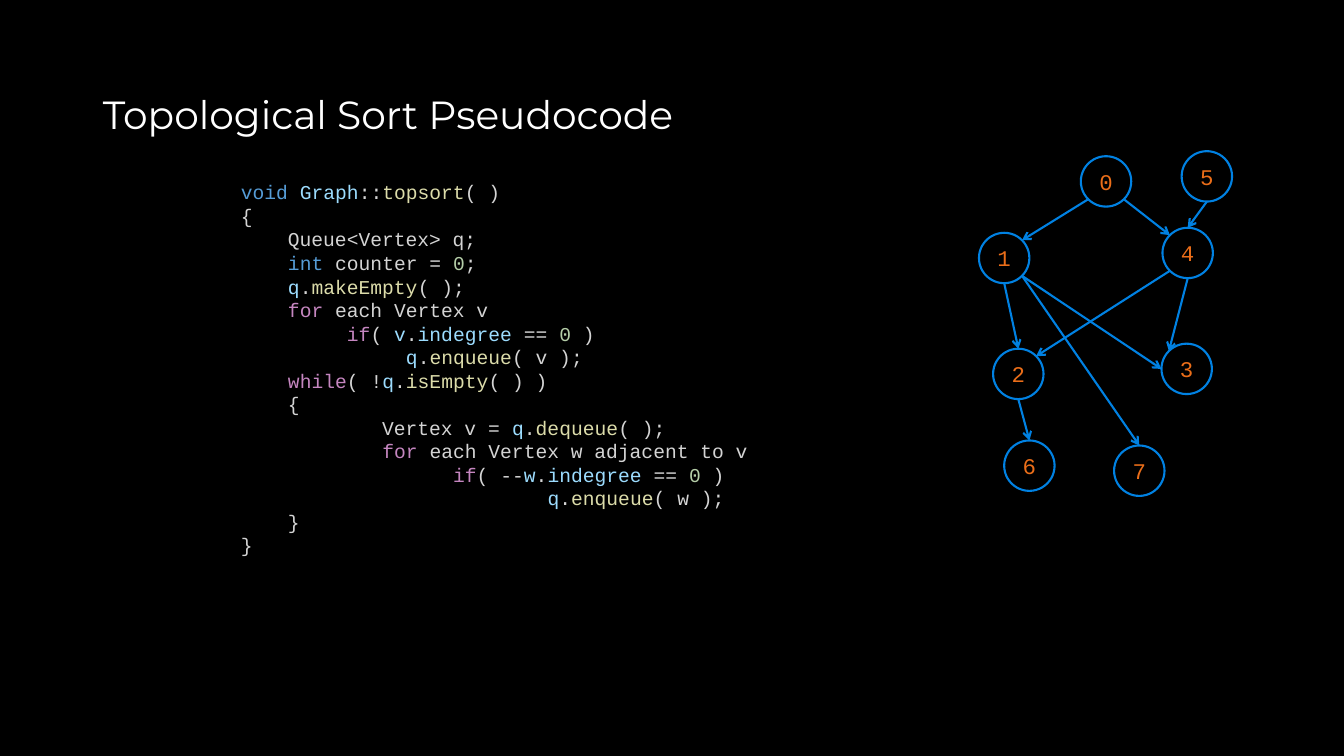
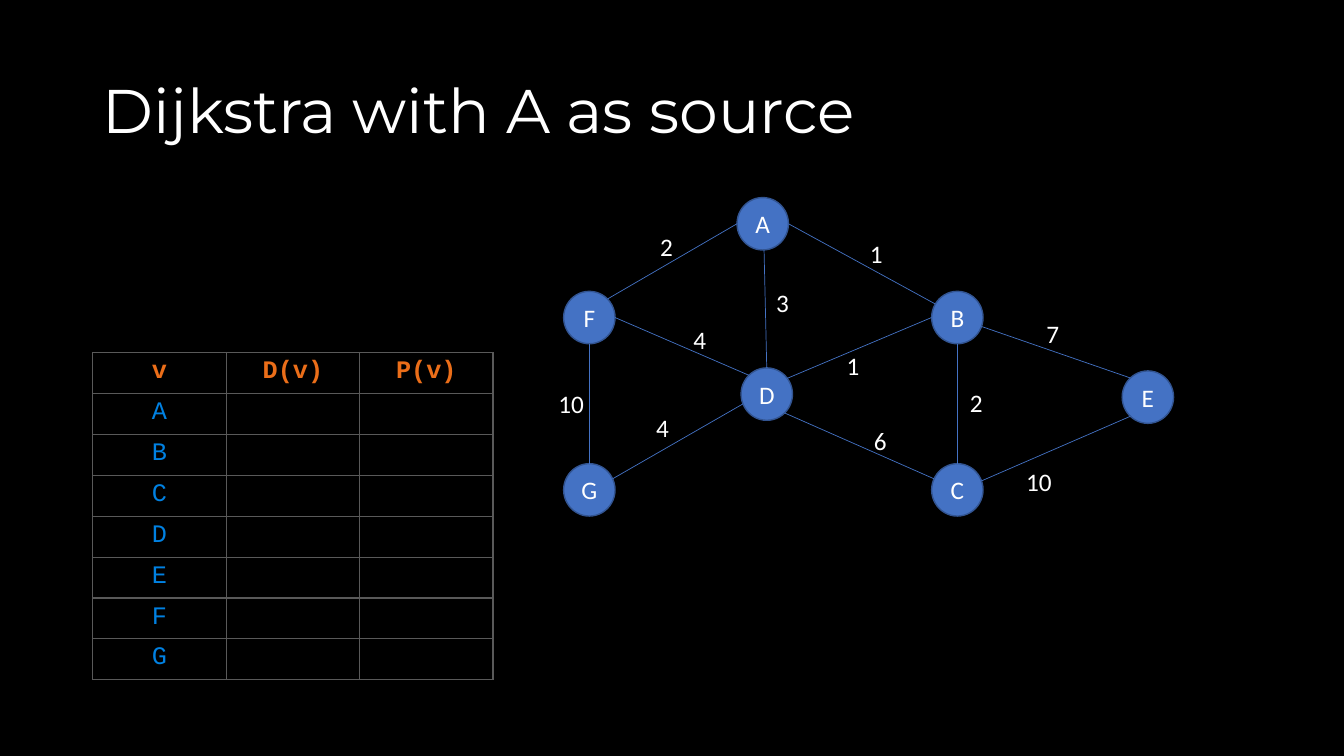
from dataclasses import dataclass
from itertools import groupby
from math import cos, radians, sin

from lxml import etree
from pptx import Presentation
from pptx.dml.color import RGBColor
from pptx.enum.shapes import MSO_CONNECTOR, MSO_SHAPE
from pptx.enum.text import MSO_ANCHOR, PP_ALIGN
from pptx.oxml.ns import qn
from pptx.util import Inches, Pt

ELLIPSE, STRAIGHT = MSO_SHAPE.OVAL, MSO_CONNECTOR.STRAIGHT
LEFT, CENTER, MIDDLE = PP_ALIGN.LEFT, PP_ALIGN.CENTER, MSO_ANCHOR.MIDDLE
TITLE_ONLY = 5


@dataclass(frozen=True)
class Theme:
    background: str = "000000"
    white: str = "FFFFFF"
    blue: str = "0081E2"
    orange: str = "EB6E19"
    node_fill: str = "4472C4"
    node_line: str = "325491"
    grid: str = "595959"
    # Code colours
    plain: str = "D4D4D4"
    type_word: str = "569CD6"
    control: str = "C586C0"
    variable: str = "9CDCFE"
    function: str = "DCDCAA"
    number: str = "B5CEA8"
    # Fonts and type sizes
    heading: str = "Montserrat"
    body: str = "Calibri"
    mono: str = "Courier New"
    code_size: int = 14
    node_size: int = 16
    body_size: int = 18
    small_title: int = 28
    large_title: int = 44


T = Theme()


@dataclass(frozen=True)
class GraphStyle:
    width: float
    height: float
    fill: str | None
    outline: str
    outline_width: float
    edge: str
    edge_width: float
    arrow: bool
    text: dict


OUTLINED = GraphStyle(0.5, 0.5, None, T.blue, 1.5, T.blue, 1.5, True,
                      dict(name=T.mono, size=T.node_size, color=T.orange))
FILLED = GraphStyle(0.51, 0.52, T.node_fill, T.node_line, 1, T.node_fill, 0.5, False,
                    dict(name=T.body, size=T.body_size, color=T.white))

CODE = """\
void Graph::topsort( )
{
    Queue<Vertex> q;
    int counter = 0;
    q.makeEmpty( );
    for each Vertex v
         if( v.indegree == 0 )
              q.enqueue( v );
    while( !q.isEmpty( ) )
    {
            Vertex v = q.dequeue( );
            for each Vertex w adjacent to v
                  if( --w.indegree == 0 )
                          q.enqueue( w );
    }
}"""
KEYWORDS = {"void": T.type_word, "int": T.type_word,
            "for": T.control, "while": T.control, "if": T.control}

# Nodes: name -> left and top within the graph's box
TOPSORT_NODES = {
    "0": (1.01, 0.05), "1": (0, 0.81), "4": (1.82, 0.76), "2": (0.14, 1.96),
    "3": (1.81, 1.91), "5": (2.01, 0), "6": (0.25, 2.87), "7": (1.34, 2.92),
}
# Edges: node and angle (clockwise from the right) at each end
TOPSORT_EDGES = [
    ("0", 135, "1", 315), ("1", 90, "2", 270), ("4", 135, "2", 315),
    ("4", 90, "3", 225), ("0", 45, "4", 225), ("1", 45, "3", 180),
    ("5", 90, "4", 270), ("2", 90, "6", 270), ("1", 45, "7", 270),
]
DIJKSTRA_NODES = {
    "A": (1.87, 0), "D": (1.91, 1.69), "E": (5.69, 1.72), "B": (3.8, 0.93),
    "C": (3.8, 2.64), "F": (0.15, 0.93), "G": (0.15, 2.64),
}
# Weighted edges also hold the weight and its left and top
DIJKSTRA_EDGES = [
    ("A", 180, "F", 315, "2", 1.01, 0.29),
    ("D", 158, "G", 335, "4", 0.97, 2.08),
    ("B", 180, "D", 323, "1", 2.86, 1.47),
    ("C", 205, "D", 46, "6", 3.13, 2.21),
    ("B", 211, "A", 0, "1", 3.09, 0.36),
    ("C", 270, "B", 90, "2", 4.08, 1.83),
    ("G", 270, "F", 90, "10", 0, 1.84),
    ("D", 226, "F", 0, "4", 1.34, 1.21),
    ("D", 270, "A", 87, "3", 2.16, 0.84),
    ("E", 133, "C", 340, "10", 4.64, 2.62),
    ("E", 227, "B", 20, "7", 4.84, 1.15),
]


def rgb(color):
    return RGBColor.from_string(color)


def add_run(p, text, **formats):
    r = p.add_run()
    r.text = text
    r.font.color.rgb = rgb(formats.pop("color"))
    r.font.size = Pt(formats.pop("size"))
    for name, value in formats.items():
        setattr(r.font, name, value)


def add_title_slide(prs, text, size, spacing):
    s = prs.slides.add_slide(prs.slide_layouts[TITLE_ONLY])
    title = s.shapes.title
    box = dict(left=0.92, top=0.4, width=11.5, height=1.45)
    for name, value in box.items():
        setattr(title, name, Inches(value))
    title.text_frame.vertical_anchor = MIDDLE
    p = title.text_frame.paragraphs[0]
    p.alignment, p.line_spacing = LEFT, spacing
    add_run(p, text, name=T.heading, size=size, color=T.white)
    return s


def code_tokens(line):
    """Yield each piece of a line of code with its colour."""
    pieces = ["".join(g) for _, g in groupby(line, str.isalnum)]
    for before, piece, after in zip([""] + pieces, pieces, pieces[1:] + [""]):
        color = T.plain
        if piece in KEYWORDS:
            color = KEYWORDS[piece]
        elif piece.isdigit():
            color = T.number
        elif piece.isalnum() and after.startswith("("):
            color = T.function
        elif piece.isalnum() and (after.startswith((".", "::")) or before == "."):
            color = T.variable
        yield piece, color


def add_code(s, left, top, width, height):
    tf = s.shapes.add_textbox(*map(Inches, (left, top, width, height))).text_frame
    tf.word_wrap = True
    for i, line in enumerate(CODE.split("\n")):
        p = tf.add_paragraph() if i else tf.paragraphs[0]
        for piece, color in code_tokens(line):
            add_run(p, piece, name=T.mono, size=T.code_size, color=color)


def add_node(s, name, left, top, style):
    sp = s.shapes.add_shape(ELLIPSE, *map(Inches, (left, top, style.width, style.height)))
    sp.shadow.inherit = False
    if style.fill:
        sp.fill.solid()
        sp.fill.fore_color.rgb = rgb(style.fill)
    else:
        sp.fill.background()
    sp.line.color.rgb = rgb(style.outline)
    sp.line.width = Pt(style.outline_width)
    tf = sp.text_frame
    tf.margin_left = tf.margin_right = 0
    tf.vertical_anchor = MIDDLE
    p = tf.paragraphs[0]
    p.alignment = CENTER
    add_run(p, name, **style.text)


def add_edge(s, start, end, style):
    line = s.shapes.add_connector(STRAIGHT, *map(Inches, start + end))
    line.line.color.rgb = rgb(style.edge)
    line.line.width = Pt(style.edge_width)
    if style.arrow:
        etree.SubElement(line.line._get_or_add_ln(), qn("a:tailEnd"), type="arrow")
    etree.SubElement(line._element.spPr, qn("a:effectLst"))


def add_weight(s, text, left, top, style):
    width = 0.2 + 0.13 * len(text)
    tf = s.shapes.add_textbox(*map(Inches, (left, top, width, 0.4))).text_frame
    tf.word_wrap = False
    add_run(tf.paragraphs[0], text, **style.text)


def add_graph(s, left, top, nodes, edges, style):
    def rim(name, angle):
        x, y = nodes[name]
        a = radians(angle)
        return (left + x + style.width / 2 * (1 + cos(a)),
                top + y + style.height / 2 * (1 + sin(a)))

    for name, (x, y) in nodes.items():
        add_node(s, name, left + x, top + y, style)
    for start, start_angle, end, end_angle, *weight in edges:
        add_edge(s, rim(start, start_angle), rim(end, end_angle), style)
        if weight:
            text, x, y = weight
            add_weight(s, text, left + x, top + y, style)


def set_borders(cell, color, width):
    tc_pr = cell._tc.get_or_add_tcPr()
    for i, side in enumerate(("lnL", "lnR", "lnT", "lnB")):
        ln = etree.Element(qn(f"a:{side}"), w=str(Pt(width)))
        fill = etree.SubElement(ln, qn("a:solidFill"))
        etree.SubElement(fill, qn("a:srgbClr"), val=color)
        tc_pr.insert(i, ln)


def add_distance_table(s, left, top, width, height):
    rows = [("v", "D(v)", "P(v)")] + [(name, "", "") for name in "ABCDEFG"]
    table = s.shapes.add_table(len(rows), len(rows[0]),
                               *map(Inches, (left, top, width, height))).table
    table.first_row = table.horz_banding = False
    for i, row in enumerate(rows):
        for j, text in enumerate(row):
            cell = table.cell(i, j)
            cell.fill.background()
            set_borders(cell, T.grid, 1)
            p = cell.text_frame.paragraphs[0]
            p.alignment = CENTER
            if text:
                add_run(p, text, name=T.mono, size=T.body_size, bold=i == 0,
                        color=T.blue if i else T.orange)


def topsort_slide(prs):
    s = add_title_slide(prs, "Topological Sort Pseudocode", T.small_title, 1.0)
    add_graph(s, 9.71, 1.5, TOPSORT_NODES, TOPSORT_EDGES, OUTLINED)
    add_code(s, 2.29, 1.74, 6.67, 4.34)


def dijkstra_slide(prs):
    s = add_title_slide(prs, "Dijkstra with A as source", T.large_title, 0.9)
    add_distance_table(s, 0.92, 3.5, 3.97, 3.24)
    add_graph(s, 5.44, 1.96, DIJKSTRA_NODES, DIJKSTRA_EDGES, FILLED)


def main():
    prs = Presentation()
    prs.slide_width, prs.slide_height = Inches(13.33), Inches(7.5)
    # Shared black background
    fill = prs.slide_master.background.fill
    fill.solid()
    fill.fore_color.rgb = rgb(T.background)
    topsort_slide(prs)
    dijkstra_slide(prs)
    prs.save("out.pptx")


if __name__ == "__main__":
    main()
